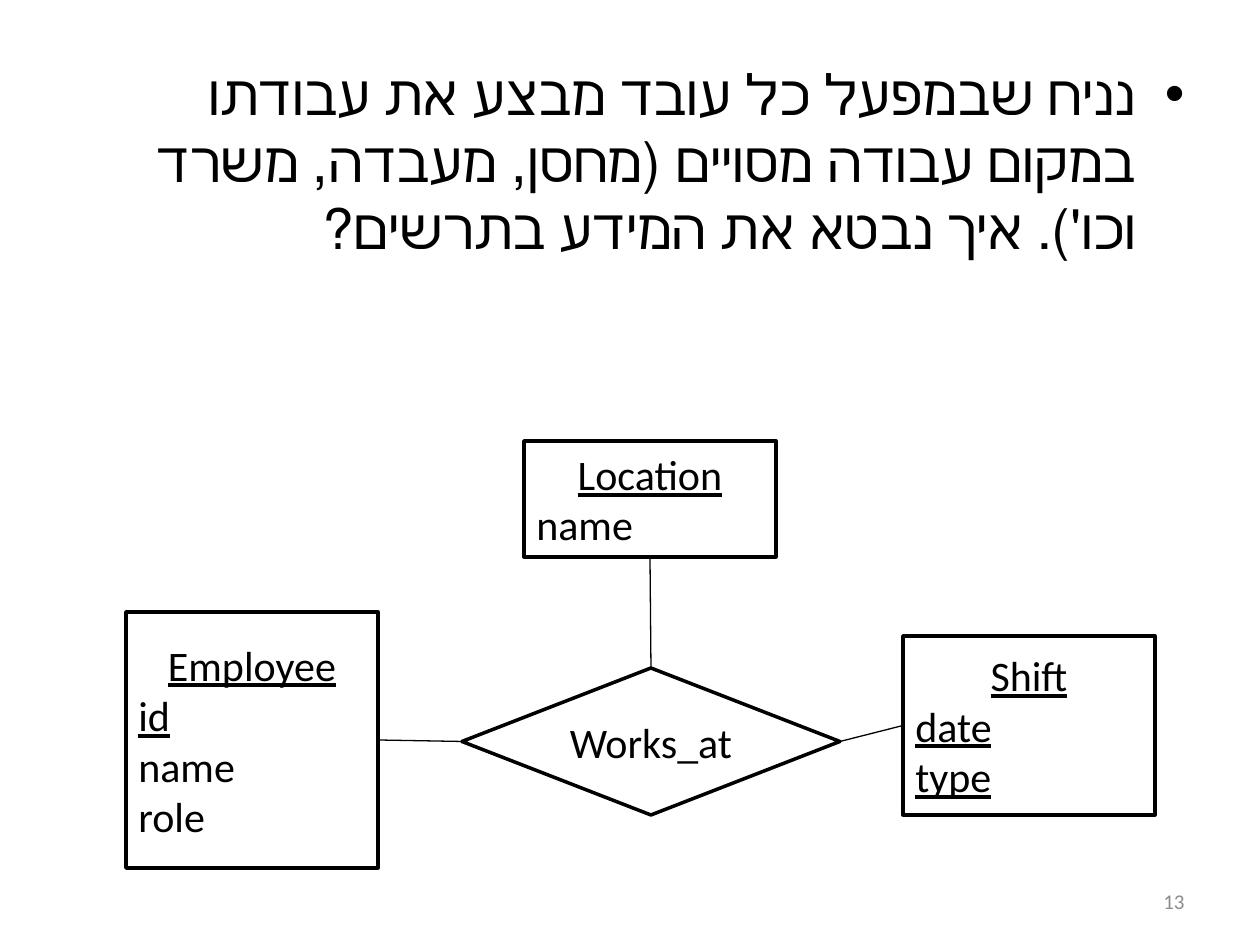
from pptx import Presentation
from pptx import util as u
from pptx.dml import color
from pptx.enum import shapes, text
from pptx.oxml import parse_xml
from pptx.oxml.ns import nsdecls

TOP, LEFT, BOTTOM, RIGHT = range(4)


def px(length):
    """Turn picture pixels into EMU."""
    return u.Emu(round(length * 914400 / 126))


def rgb(value):
    """Turn a hex string into a colour."""
    return color.RGBColor.from_string(value)


class Diagram:
    """Hold the style and the slide of an entity diagram."""

    font = "Calibri"
    ink = "000000"

    def __init__(self, slide):
        self.slide = slide

    def style(self, paragraph, size, align, hue=ink, underline=None):
        """Format a paragraph and its runs."""
        paragraph.alignment = align
        for run in paragraph.runs:
            run.font.name = self.font
            run.font.size = u.Pt(size)
            run.font.color.rgb = rgb(hue)
            run.font.underline = underline

    def question(self, wording, *box):
        """Fill the body placeholder with right-to-left text."""
        body = self.slide.placeholders[1]
        body.left, body.top, body.width, body.height = map(px, box)
        body.text_frame.text = wording
        paragraph = body.text_frame.paragraphs[0]
        self.style(paragraph, 32, text.PP_ALIGN.RIGHT)
        paragraph._p.get_or_add_pPr().set("rtl", "1")

    def page_number(self, number, *box):
        """Add the grey page number."""
        frame = self.slide.shapes.add_textbox(*map(px, box)).text_frame
        frame.word_wrap = True
        frame.vertical_anchor = text.MSO_ANCHOR.MIDDLE
        frame.text = number
        self.style(frame.paragraphs[0], 12, text.PP_ALIGN.RIGHT, "8C8C8C")

    def node(self, kind, heading, attributes, keys, *box):
        """Add an outlined shape with a heading, attributes and underlined keys."""
        shape = self.slide.shapes.add_shape(kind, *map(px, box))
        shape.shadow.inherit = False
        shape.fill.background()
        shape.line.color.rgb = rgb(self.ink)
        shape.line.width = u.Pt(2)
        frame = shape.text_frame
        frame.word_wrap = True
        frame.vertical_anchor = text.MSO_ANCHOR.MIDDLE
        frame.text = "\n".join([heading, *attributes])
        for index, paragraph in enumerate(frame.paragraphs):
            align = text.PP_ALIGN.LEFT if index else text.PP_ALIGN.CENTER
            self.style(paragraph, 24, align, underline=paragraph.text in keys)
        return shape

    def entity(self, heading, attributes, keys, *box):
        """Add an entity rectangle."""
        return self.node(shapes.MSO_SHAPE.RECTANGLE, heading, attributes,
                         [heading, *keys], *box)

    def relationship(self, heading, *box):
        """Add a relationship diamond."""
        return self.node(shapes.MSO_SHAPE.FLOWCHART_DECISION, heading, [], [], *box)

    def link(self, start, start_site, end, end_site):
        """Join two shapes with a thin line."""
        line = self.slide.shapes.add_connector(shapes.MSO_CONNECTOR.STRAIGHT, 0, 0, 0, 0)
        line.begin_connect(start, start_site)
        line.end_connect(end, end_site)
        line.line.color.rgb = rgb(self.ink)
        line.line.width = u.Pt(0.75)
        line._element.spPr.append(parse_xml(f"<a:effectLst {nsdecls('a')}/>"))


deck = Presentation()
deck.slide_width, deck.slide_height = px(1260), px(945)
slide = deck.slides.add_slide(deck.slide_layouts[1])
heading = slide.shapes.title.element
heading.getparent().remove(heading)

diagram = Diagram(slide)
diagram.question(
    "נניח שבמפעל כל עובד מבצע את עבודתו במקום עבודה מסויים "
    "(מחסן, מעבדה, משרד וכו'). איך נבטא את המידע בתרשים?",
    63, 53, 1134, 284)
diagram.page_number("13", 903, 876, 294, 50)

location = diagram.entity("Location", ["name"], [], 524, 441, 252, 116)
works_at = diagram.relationship("Works_at", 462, 668, 378, 147)
employee = diagram.entity("Employee", ["id", "name", "role"], ["id"],
                          126, 612, 252, 256)
shift = diagram.entity("Shift", ["date", "type"], ["date", "type"],
                       903, 636, 252, 179)

diagram.link(works_at, TOP, location, BOTTOM)
diagram.link(works_at, LEFT, employee, RIGHT)
diagram.link(works_at, RIGHT, shift, LEFT)

deck.save("out.pptx")
